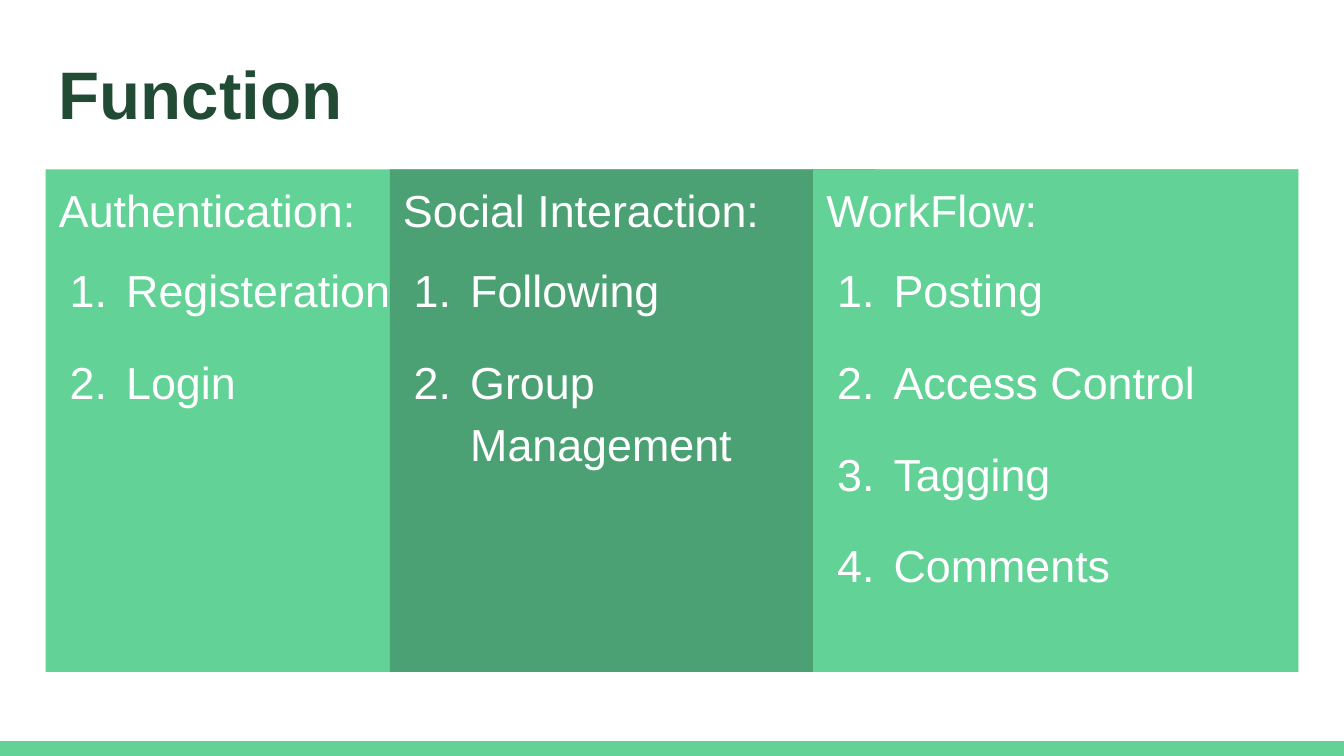
from lxml.etree import SubElement
from pptx import Presentation
from pptx.dml.color import RGBColor
from pptx.enum.shapes import MSO_SHAPE as Preset
from pptx.enum.text import MSO_ANCHOR as Anchor, PP_ALIGN as Align
from pptx.oxml.ns import qn
from pptx.util import Inches, Pt

WIDTH = 10
HEIGHT = WIDTH * 9 / 16
MARGIN = 0.34
CONTENT_WIDTH = WIDTH - 2 * MARGIN
COLUMN_TOP, COLUMN_HEIGHT = 1.26, 3.74
COLUMN_WIDTH = 3.61
STRIP_HEIGHT = 0.11

WHITE = RGBColor(0xFF, 0xFF, 0xFF)
LIGHT_GREEN = RGBColor(0x63, 0xD2, 0x97)
MID_GREEN = RGBColor(0x4B, 0xA1, 0x73)
DARK_GREEN = RGBColor(0x22, 0x4B, 0x35)

# Left edge, width, fill, heading, numbered items; later columns overlap earlier ones
COLUMNS = [
    (MARGIN, CONTENT_WIDTH, LIGHT_GREEN, "Authentication:",
     ["Registeration", "Login"]),
    (2.9, COLUMN_WIDTH, MID_GREEN, "Social Interaction:",
     ["Following", "Group Management"]),
    (WIDTH - MARGIN - COLUMN_WIDTH, COLUMN_WIDTH, LIGHT_GREEN, "WorkFlow:",
     ["Posting", "Access Control", "Tagging", "Comments"]),
]


def add_panel(page, box, fill):
    panel = page.shapes.add_shape(Preset.RECTANGLE, *map(Inches, box))
    panel.shadow.inherit = False
    panel.fill.solid()
    panel.fill.fore_color.rgb = fill
    panel.line.fill.background()
    return panel


def prepare_frame(shape):
    frame = shape.text_frame
    frame.word_wrap = True
    frame.vertical_anchor = Anchor.TOP
    frame.margin_left = frame.margin_right = Inches(0.1)
    frame.margin_top = frame.margin_bottom = Inches(0.1)
    return frame


def style_paragraph(para, text, size, color, bold=False):
    para.text = text
    para.alignment = Align.LEFT
    para.font.name = "Arial"
    para.font.size = Pt(size)
    para.font.bold = bold
    para.font.color.rgb = color


def number_paragraph(para, color):
    props = para._p.get_or_add_pPr()
    props.set("marL", str(Inches(0.5)))
    props.set("indent", str(Inches(-0.42)))
    bullet_color = SubElement(props, qn("a:buClr"))
    SubElement(bullet_color, qn("a:srgbClr"), val=str(color))
    SubElement(props, qn("a:buFont"), typeface="Arial")
    SubElement(props, qn("a:buAutoNum"), type="arabicPeriod")


def add_title(page, box, text):
    title = page.shapes.add_textbox(*map(Inches, box))
    para = prepare_frame(title).paragraphs[0]
    style_paragraph(para, text, 36, DARK_GREEN, bold=True)


def add_column(page, box, fill, heading, items):
    frame = prepare_frame(add_panel(page, box, fill))
    para = frame.paragraphs[0]
    para.space_after = Pt(10)
    style_paragraph(para, heading, 24, WHITE)
    for item in items:
        para = frame.add_paragraph()
        para.line_spacing = 1.15
        para.space_after = Pt(16)
        number_paragraph(para, WHITE)
        style_paragraph(para, item, 24, WHITE)


def main():
    deck = Presentation()
    deck.slide_width, deck.slide_height = Inches(WIDTH), Inches(HEIGHT)
    page = deck.slides.add_slide(deck.slide_layouts[6])

    # Bottom strip
    add_panel(page, (0, HEIGHT - STRIP_HEIGHT, WIDTH, STRIP_HEIGHT), LIGHT_GREEN)

    # Title
    add_title(page, (MARGIN, 0.29, CONTENT_WIDTH, 0.74), "Function")

    # Function columns
    for left, width, fill, heading, items in COLUMNS:
        add_column(page, (left, COLUMN_TOP, width, COLUMN_HEIGHT),
                   fill, heading, items)

    deck.save("out.pptx")


if __name__ == "__main__":
    main()
